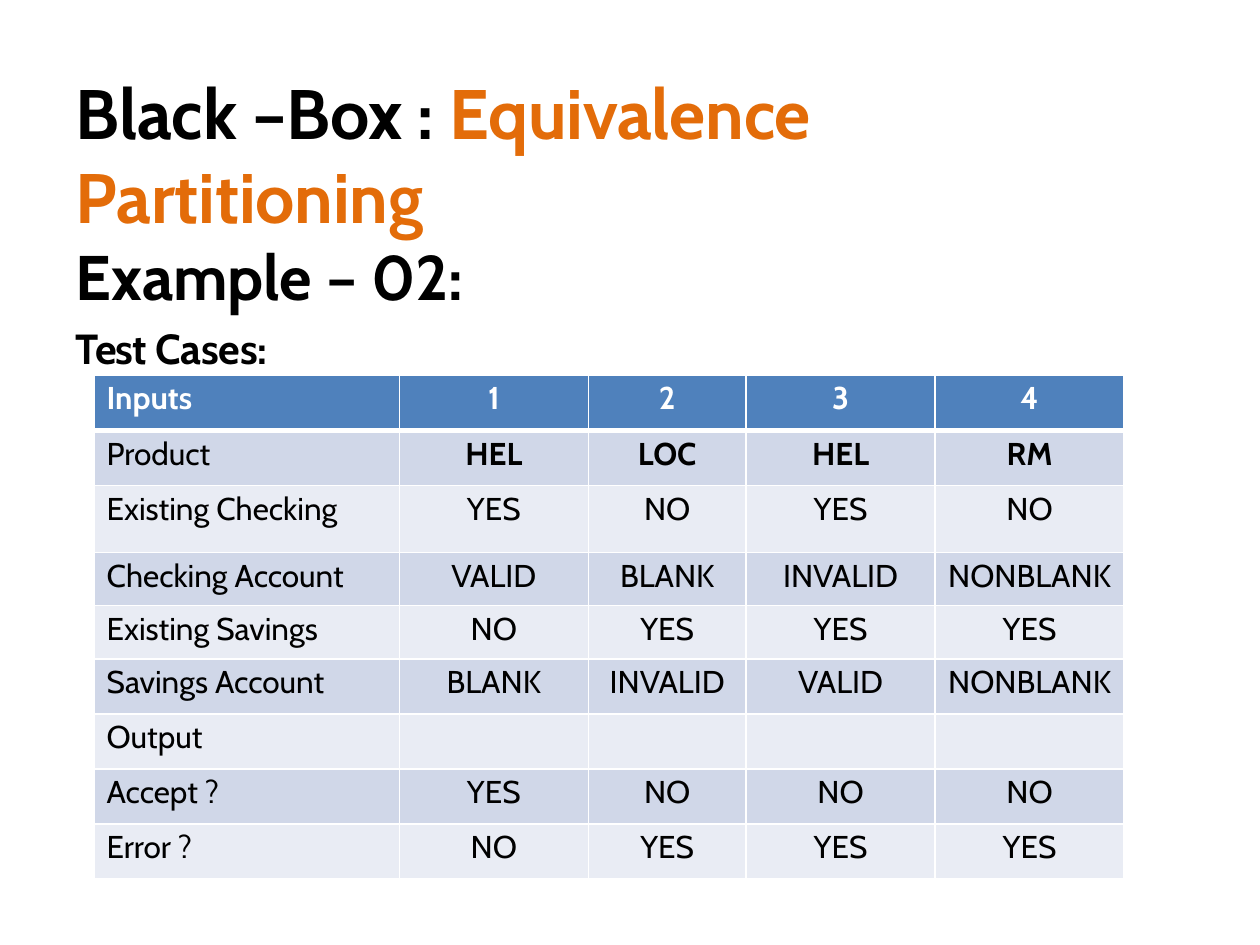
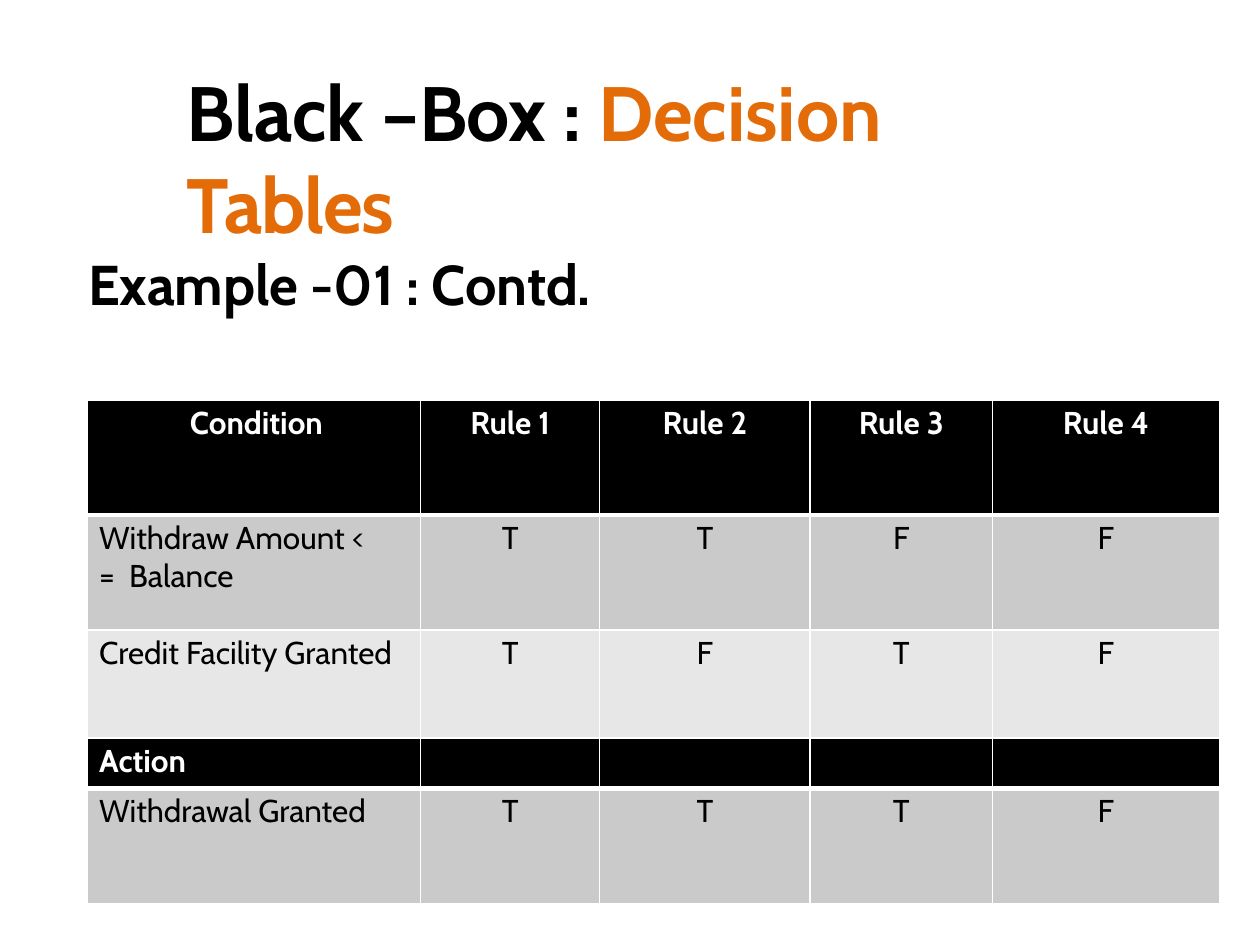
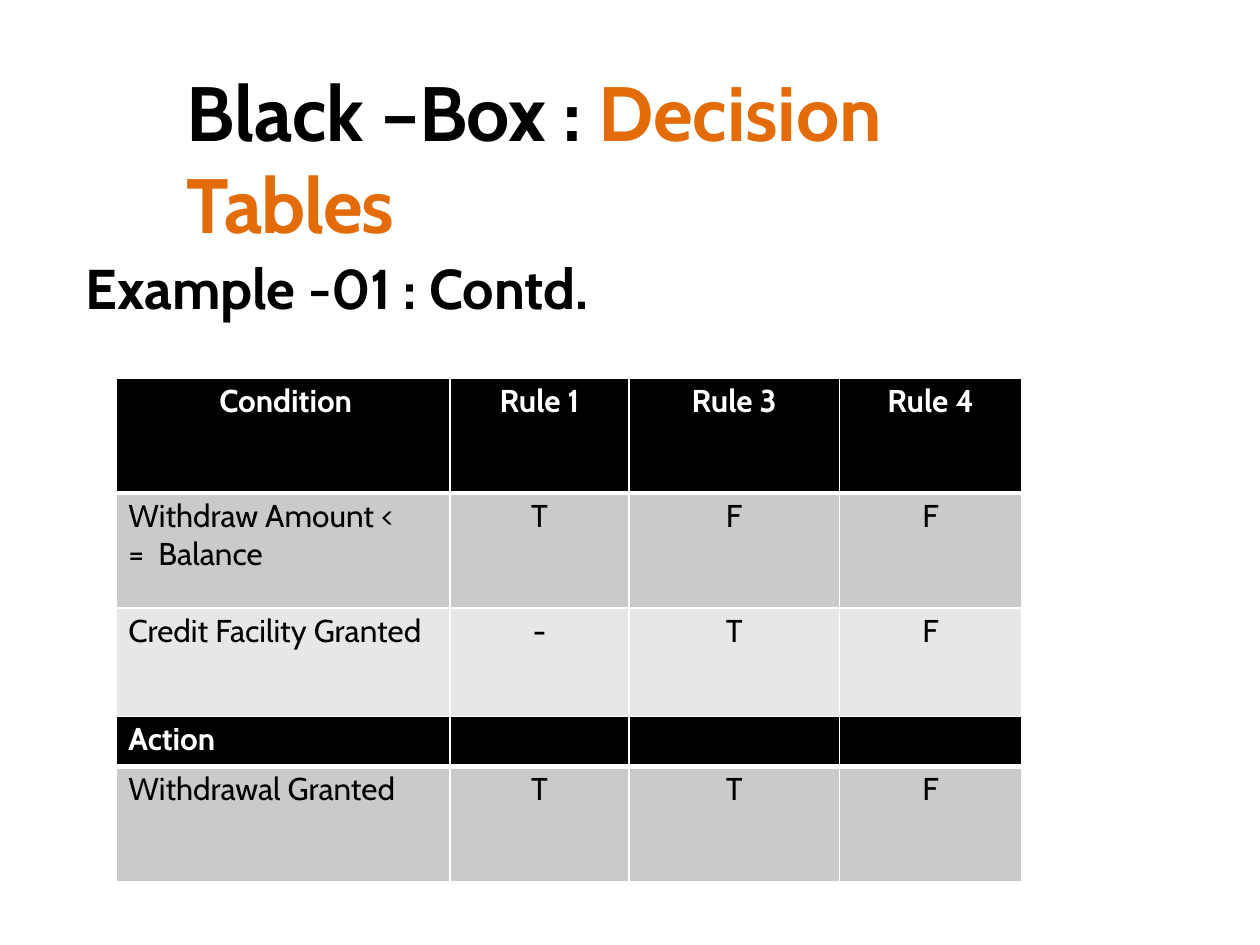
import pptx
import pptx.util
import pptx.dml.color
import pptx.enum.text
import pptx.oxml.ns
import lxml.etree

Cm = pptx.util.Cm
Pt = pptx.util.Pt

FONT = "Cabin"
HUES = {
    "ink": "000000", "accent": "E36C09", "paper": "FFFFFF",
    "blue": "4F81BC", "blue1": "D0D7E8", "blue2": "E9ECF4",
    "gray1": "CACACA", "gray2": "E7E7E7",
}
BLUES = ("blue", "blue1", "blue2")
GRAYS = ("ink", "gray1", "gray2")
HEADS = ("Inputs", "Condition", "Action")
BOLD = ("Product",)
INDENT = {"Condition": 2.08}
INSET = {"Withdraw Amount < =  Balance": 1}

LEAD = [("Black ", "ink", -0.1), ("–Box ", "ink", -0.2), (": ", "ink", -0.1)]
RULES = {
    "title": LEAD + [("Decision ", "accent", -0.1), ("Tables", "accent", -0.6)],
    "size": 44,
    "place": (3.73, 1.27, 17.98, 1.93),
    "lines": [([("Example -01 ", "ink", -0.1), (": ", "ink", 0), ("Contd.", "ink", -0.1)], 32, 1.1)],
    "inset": 0.03,
    "hues": GRAYS,
    "cols": [6.73, 3.61, 4.24, 3.68, 4.57],
    "tall": [2.32, 2.32, 2.18, 1.01, 2.32],
}

PAGES = [
    {
        "title": LEAD + [("Equivalence Partitioning", "accent", -0.1)],
        "size": 40,
        "place": (1.5, 1.37, 21.59, 1.75),
        "lines": [
            ([("Example ", "ink", -0.1), ("– ", "ink", 0), ("02:", "ink", -0.1)], 36, 9.2),
            ([("Test ", "ink", -0.6), ("Cases:", "ink", -0.1)], 24, 5.5),
        ],
        "sub": (1.5, 4.45, 15.93, 3.1),
        "inset": 0.33,
        "hues": BLUES,
        "grid": (1.9, 7.57),
        "cols": [6.15, 3.81, 3.18, 3.81, 3.81],
        "tall": [1.11, 1.11, 1.35, 1.07, 1.07, 1.11, 1.11, 1.11, 1.11],
        "rows": [
            ["Inputs", "1", "2", "3", "4"],
            ["Product", "HEL", "LOC", "HEL", "RM"],
            ["Existing Checking", "YES", "NO", "YES", "NO"],
            ["Checking Account", "VALID", "BLANK", "INVALID", "NONBLANK"],
            ["Existing Savings", "NO", "YES", "YES", "YES"],
            ["Savings Account", "BLANK", "INVALID", "VALID", "NONBLANK"],
            ["Output", "", "", "", ""],
            ["Accept ?", "YES", "NO", "NO", "NO"],
            ["Error ?", "NO", "YES", "YES", "YES"],
        ],
    },
    {
        **RULES,
        "sub": (1.75, 5, 16.26, 1.42),
        "grid": (1.75, 8.06),
        "rows": [
            ["Condition", "Rule 1", "Rule 2", "Rule 3", "Rule 4"],
            ["Withdraw Amount < =  Balance", "T", "T", "F", "F"],
            ["Credit Facility Granted", "T", "F", "T", "F"],
            ["Action", "", "", "", ""],
            ["Withdrawal Granted", "T", "T", "T", "F"],
        ],
    },
    {
        **RULES,
        "sub": (1.7, 5.08, 15.62, 1.42),
        "grid": (2.34, 7.62),
        "rows": [
            ["Condition", "Rule 1", "Rule 3", "Rule 4"],
            ["Withdraw Amount < =  Balance", "T", "F", "F"],
            ["Credit Facility Granted", "-", "T", "F"],
            ["Action", "", "", ""],
            ["Withdrawal Granted", "T", "T", "F"],
        ],
    },
]


def tint(name):
    return pptx.dml.color.RGBColor.from_string(HUES[name])


def write(para, runs, size, gap, bold=True, align="LEFT"):
    para.alignment = getattr(pptx.enum.text.PP_ALIGN, align)
    para.space_before = Pt(gap)
    for text, hue, space in runs:
        run = para.add_run()
        run.text = text
        font = run.font
        font.name, font.size, font.bold = FONT, Pt(size), bold
        font.color.rgb = tint(hue)
        if space:
            run._r.get_or_add_rPr().set("spc", str(round(space * 100)))


def fit(shape, place, top):
    shape.left, shape.top, shape.width, shape.height = map(Cm, place)
    frame = shape.text_frame
    frame.word_wrap = True
    frame.auto_size = pptx.enum.text.MSO_AUTO_SIZE.SHAPE_TO_FIT_TEXT
    frame.vertical_anchor = pptx.enum.text.MSO_ANCHOR.TOP
    frame.margin_left, frame.margin_top = Cm(0.03), Cm(top)
    frame.margin_right = frame.margin_bottom = 0
    return frame


def edge(cell, widths):
    props = cell._tc.get_or_add_tcPr()
    qn = pptx.oxml.ns.qn
    for side, width in zip("LRTB", widths):
        line = lxml.etree.SubElement(props, qn("a:ln" + side), w=str(Pt(width)))
        fill = lxml.etree.SubElement(line, qn("a:solidFill"))
        lxml.etree.SubElement(fill, qn("a:srgbClr"), val=HUES["paper"])


def add_grid(slide, page):
    rows, tall = page["rows"], page["tall"]
    cols = page["cols"][:len(rows[0])]
    spot = map(Cm, (*page["grid"], sum(cols), sum(tall)))
    table = slide.shapes.add_table(len(rows), len(cols), *spot).table
    table.horz_banding = False
    for col, width in zip(table.columns, cols):
        col.width = Cm(width)
    band, above = 0, False
    for r, row in enumerate(rows):
        table.rows[r].height = Cm(tall[r])
        head = row[0] in HEADS
        band = 0 if head else band + 1
        hue = page["hues"][0 if head else 2 - band % 2]
        for c, text in enumerate(row):
            cell = table.cell(r, c)
            edge(cell, (1, 1, 3 if above else 1, 3 if head else 1))
            cell.fill.solid()
            cell.fill.fore_color.rgb = tint(hue)
            cell.margin_left = 0 if c else Cm(INDENT.get(text, 0.25))
            cell.margin_right = Cm(INSET.get(text, 0))
            cell.margin_top, cell.margin_bottom = Cm(0.08), 0
            if text:
                bold = head or (c > 0 and row[0] in BOLD)
                runs = [(text, "paper" if head else "ink", 0)]
                write(cell.text_frame.paragraphs[0], runs, 18, 2.5, bold, "CENTER" if c else "LEFT")
        above = head


def add_page(deck, page):
    slide = deck.slides.add_slide(deck.slide_layouts[5])
    frame = fit(slide.shapes.title, page["place"], 0.03)
    write(frame.paragraphs[0], page["title"], page["size"], 1)
    box = slide.shapes.add_textbox(*map(Cm, page["sub"]))
    frame = fit(box, page["sub"], page["inset"])
    for i, (runs, size, gap) in enumerate(page["lines"]):
        write(frame.add_paragraph() if i else frame.paragraphs[0], runs, size, gap)
    add_grid(slide, page)


def main():
    deck = pptx.Presentation()
    deck.slide_width, deck.slide_height = Cm(25.4), Cm(19.05)
    for page in PAGES:
        add_page(deck, page)
    deck.save("out.pptx")


if __name__ == "__main__":
    main()
